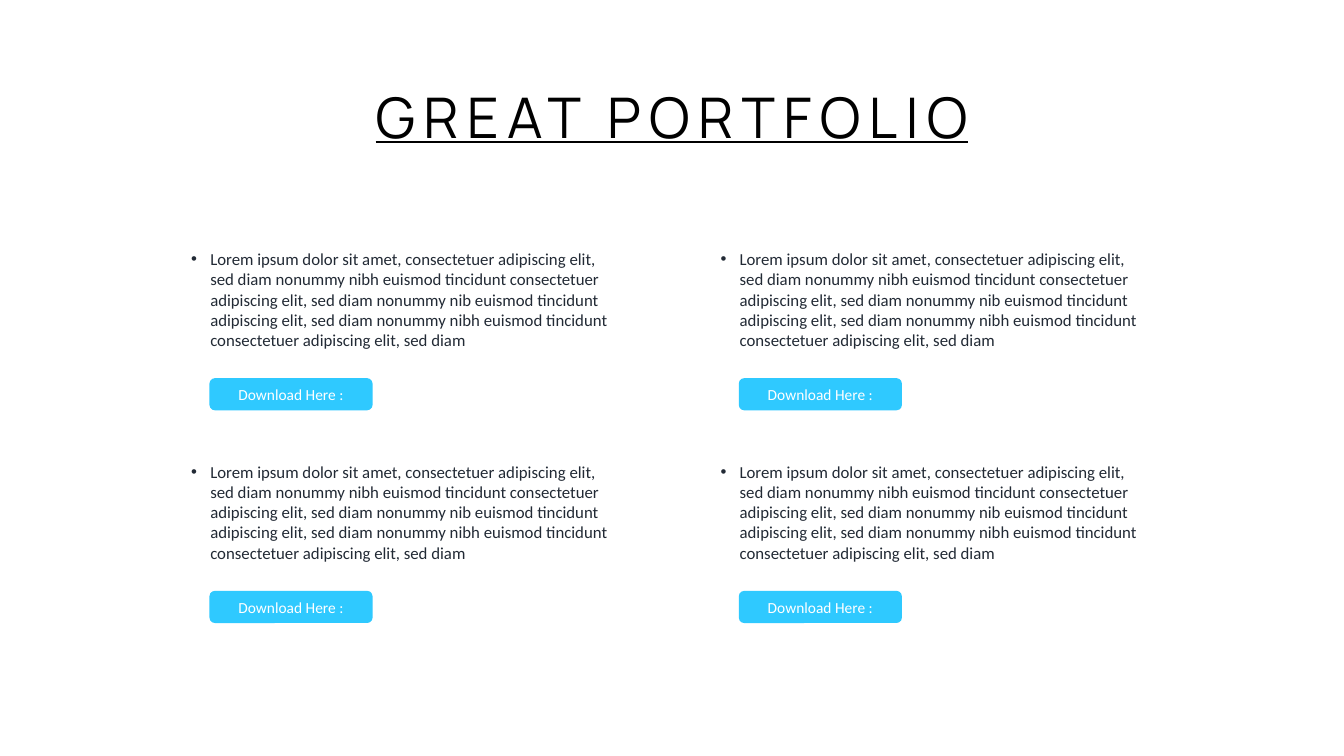
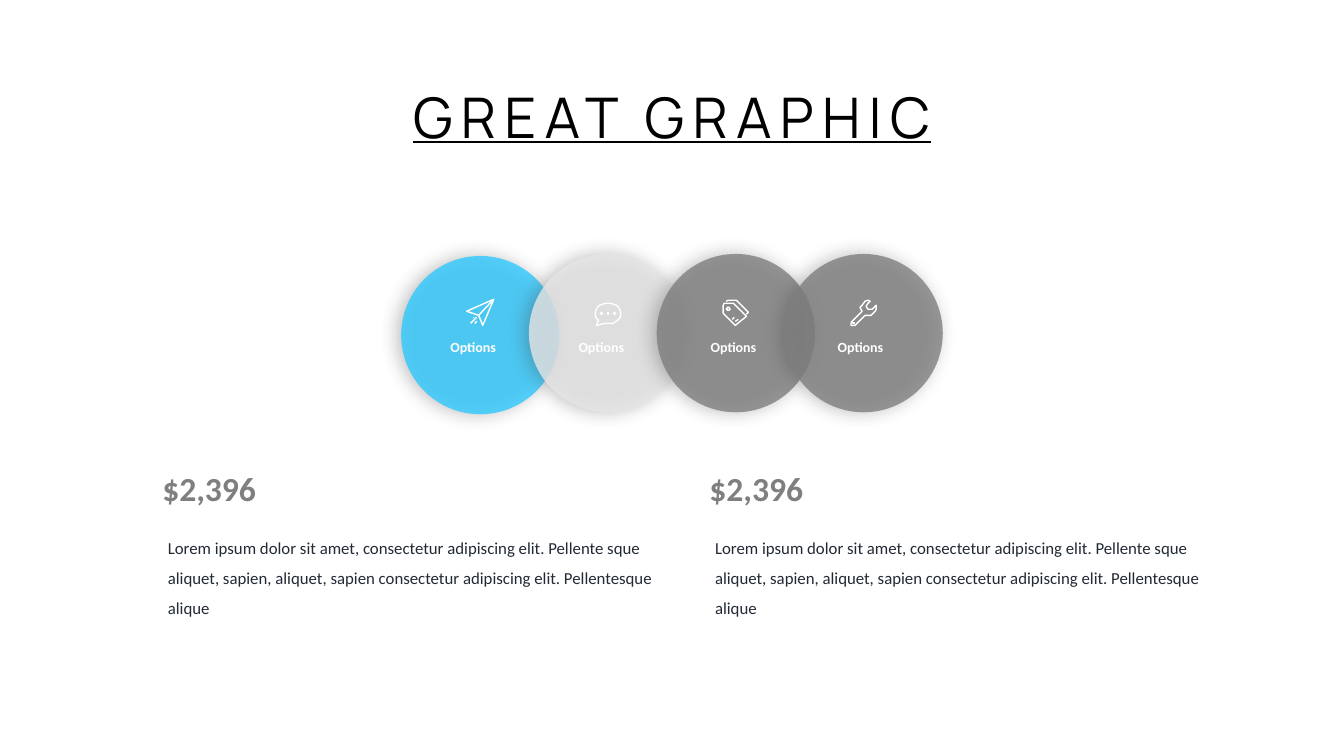
import math

import lxml.etree
import pptx
import pptx.dml.color
import pptx.enum.shapes
import pptx.enum.text
import pptx.oxml
import pptx.oxml.ns
import pptx.util

Cm = pptx.util.Cm
Pt = pptx.util.Pt
RGBColor = pptx.dml.color.RGBColor
SHAPES = pptx.enum.shapes.MSO_SHAPE
ALIGN = pptx.enum.text.PP_ALIGN
qn = pptx.oxml.ns.qn

# Shared colours and text styles
BLACK = RGBColor(0x00, 0x00, 0x00)
WHITE = RGBColor(0xFF, 0xFF, 0xFF)
INK = RGBColor(0x22, 0x2A, 0x35)
SKY = RGBColor(0x2F, 0xC9, 0xFF)
PALE = RGBColor(0xE7, 0xE6, 0xE6)
GREY = RGBColor(0x7F, 0x7F, 0x7F)

TITLE = {"name": "Manrope", "size": Pt(40), "underline": True}
BODY = {"name": "Calibri", "size": Pt(12)}
BUTTON = {"name": "Calibri", "size": Pt(11)}
LABEL = {"name": "Calibri", "size": Pt(10), "bold": True}
PRICE = {"name": "Calibri", "size": Pt(24), "bold": True}

SLIDE_WIDTH = 33.87
TITLE_WIDTH = 16.43


def write_text(frame, text, style, color, align=ALIGN.LEFT):
    paragraph = frame.paragraphs[0]
    paragraph.alignment = align
    run = paragraph.add_run()
    run.text = text
    for attribute, value in style.items():
        setattr(run.font, attribute, value)
    run.font.color.rgb = color
    return paragraph


def add_text(slide, box, text, style, color, align=ALIGN.LEFT, wrap=True):
    frame = slide.shapes.add_textbox(*[Cm(length) for length in box]).text_frame
    frame.word_wrap = wrap
    frame.auto_size = pptx.enum.text.MSO_AUTO_SIZE.SHAPE_TO_FIT_TEXT
    return write_text(frame, text, style, color, align)


deck = pptx.Presentation()
deck.slide_width = Cm(SLIDE_WIDTH)
deck.slide_height = Cm(19.05)

# Slides with their titles
slides = []
for title in ("GREAT PORTFOLIO", "GREAT GRAPHIC"):
    slide = deck.slides.add_slide(deck.slide_layouts[6])
    title_box = ((SLIDE_WIDTH - TITLE_WIDTH) / 2, 1.96, TITLE_WIDTH, 1.96)
    heading = add_text(slide, title_box, title, TITLE, BLACK, ALIGN.CENTER, wrap=False)
    heading.runs[0].font._element.set("spc", "600")
    slides.append(slide)
portfolio, graphic = slides

# Portfolio: a two by two grid of bullets with download buttons
PORTFOLIO_TEXT = (
    "Lorem ipsum dolor sit amet, consectetuer adipiscing elit, sed diam nonummy "
    "nibh euismod tincidunt consectetuer adipiscing elit, sed diam nonummy nib "
    "euismod tincidunt adipiscing elit, sed diam nonummy nibh euismod tincidunt "
    "consectetuer adipiscing elit, sed diam"
)
for left in (4.57, 17.91):
    for top in (6.15, 11.51):
        button = portfolio.shapes.add_shape(
            SHAPES.ROUNDED_RECTANGLE, Cm(left + 0.71), Cm(top + 3.38), Cm(4.11), Cm(0.81))
        button.shadow.inherit = False
        button.fill.solid()
        button.fill.fore_color.rgb = SKY
        button.line.fill.background()
        button.text_frame.vertical_anchor = pptx.enum.text.MSO_ANCHOR.MIDDLE
        write_text(button.text_frame, "Download Here :", BUTTON, WHITE, ALIGN.CENTER)

        item = add_text(portfolio, (left, top, 11.38, 2.82), PORTFOLIO_TEXT, BODY, INK)
        properties = item._p.get_or_add_pPr()
        properties.set("marL", str(Cm(0.48)))
        properties.set("indent", str(Cm(-0.48)))
        lxml.etree.SubElement(properties, qn("a:buFont")).set("typeface", "Arial")
        lxml.etree.SubElement(properties, qn("a:buChar")).set("char", "•")

# Graphic: overlapping translucent circles with a soft shadow
STEP = 3.22
SHADOW = (
    '<a:effectLst xmlns:a="http://schemas.openxmlformats.org/drawingml/2006/main">'
    f'<a:outerShdw blurRad="{Pt(13)}" dist="{Pt(3)}" dir="10800000" algn="ctr" rotWithShape="0">'
    '<a:srgbClr val="404040"><a:alpha val="40000"/></a:srgbClr>'
    "</a:outerShdw></a:effectLst>"
)
for index, (color, top) in enumerate([(SKY, 6.45), (PALE, 6.4), (GREY, 6.4), (GREY, 6.4)]):
    option = graphic.shapes.add_shape(
        SHAPES.OVAL, Cm(10.11 + index * STEP), Cm(top), Cm(3.99), Cm(3.99))
    option.fill.solid()
    option.fill.fore_color.rgb = color
    tint = option._element.spPr.find(".//" + qn("a:srgbClr"))
    lxml.etree.SubElement(tint, qn("a:alpha")).set("val", "80000")
    option.line.fill.background()
    option._element.spPr.append(pptx.oxml.parse_xml(SHADOW))

# Icon strokes on a 27-unit grid; rings are (x, y, radius)
bubble = []
for degrees in range(105, -221, -13):
    angle = math.radians(degrees)
    bubble.append((13.5 + 13 * math.cos(angle), 14 + 10.5 * math.sin(angle)))
bubble.append((2.5, 26.5))

plane_strokes = [
    [(0.5, 11.5), (27, 0.5), (16, 26.5), (11.5, 16), (0.5, 11.5)],
    [(11.5, 16), (26.5, 1)],
    [(10.5, 21.5), (8.5, 23.5)],
    [(9.5, 18), (3.5, 24.5)],
    [(7, 17.5), (5.5, 18.5)],
]
tag_strokes = [
    [(0.7, 14.5), (0.7, 6), (2, 4.5), (11, 4.5), (23.5, 16.8), (13, 26.5), (0.7, 14.5)],
    [(4.5, 2.5), (6, 0.7), (14.5, 0.7), (26.5, 13.3), (24.5, 15)],
    [(13, 21.5), (15.5, 19.5)],
    [(10.5, 19.5), (12, 18.5)],
    [(13.5, 16.5), (14.5, 15.5)],
]
wrench_strokes = [[
    (25.5, 6.5), (22.3, 9.5), (20, 10.5), (17.8, 9.5), (16.5, 7), (17.5, 4.5),
    (20.5, 1.7), (18.3, 0.7), (15, 2), (11.5, 5.5), (10.3, 8.5), (11.8, 12),
    (1.7, 21.8), (0.7, 24), (1.2, 25.7), (3, 26.5), (5.2, 25.5), (15, 15.5),
    (18.5, 16.5), (21, 16), (25, 12), (26.2, 9.5), (25.5, 6.5),
]]
icons = [
    (plane_strokes, []),
    ([bubble + bubble[:1]], [(7, 14, 0.8), (13.5, 14, 0.8), (20, 14, 0.8)]),
    (tag_strokes, [(6, 9.5, 1.5)]),
    (wrench_strokes, [(3.5, 23.5, 0.5)]),
]
for index, (strokes, rings) in enumerate(icons):
    outlines = list(strokes)
    for x, y, radius in rings:
        angles = [math.radians(degrees) for degrees in range(0, 361, 30)]
        outlines.append([(x + radius * math.cos(a), y + radius * math.sin(a)) for a in angles])
    builder = graphic.shapes.build_freeform(*outlines[0][0], scale=Cm(0.0254))
    for number, outline in enumerate(outlines):
        if number:
            builder.move_to(*outline[0])
        builder.add_line_segments(outline[1:], close=False)
    icon = builder.convert_to_shape(Cm(11.76 + index * STEP), Cm(7.54))
    icon.shadow.inherit = False
    icon.fill.background()
    icon.line.color.rgb = WHITE
    icon.line.width = Pt(1)

# Option labels
for left in (10.64, 13.87, 17.2, 20.4):
    add_text(graphic, (left, 8.41, 2.57, 0.69), "Options", LABEL, WHITE, ALIGN.CENTER)

# Prices with their descriptions
PRICE_TEXT = (
    "Lorem ipsum dolor sit amet, consectetur adipiscing elit. Pellente sque "
    "aliquet, sapien, aliquet, sapien consectetur adipiscing elit. Pellentesque alique"
)
for left in (3.84, 17.63):
    add_text(graphic, (left, 11.66, 4.01, 1.27), "$2,396", PRICE, GREY)
    description = add_text(graphic, (left + 0.14, 13.16, 13.26, 2.49), PRICE_TEXT, BODY, INK)
    description.line_spacing = 1.5

deck.save("out.pptx")
